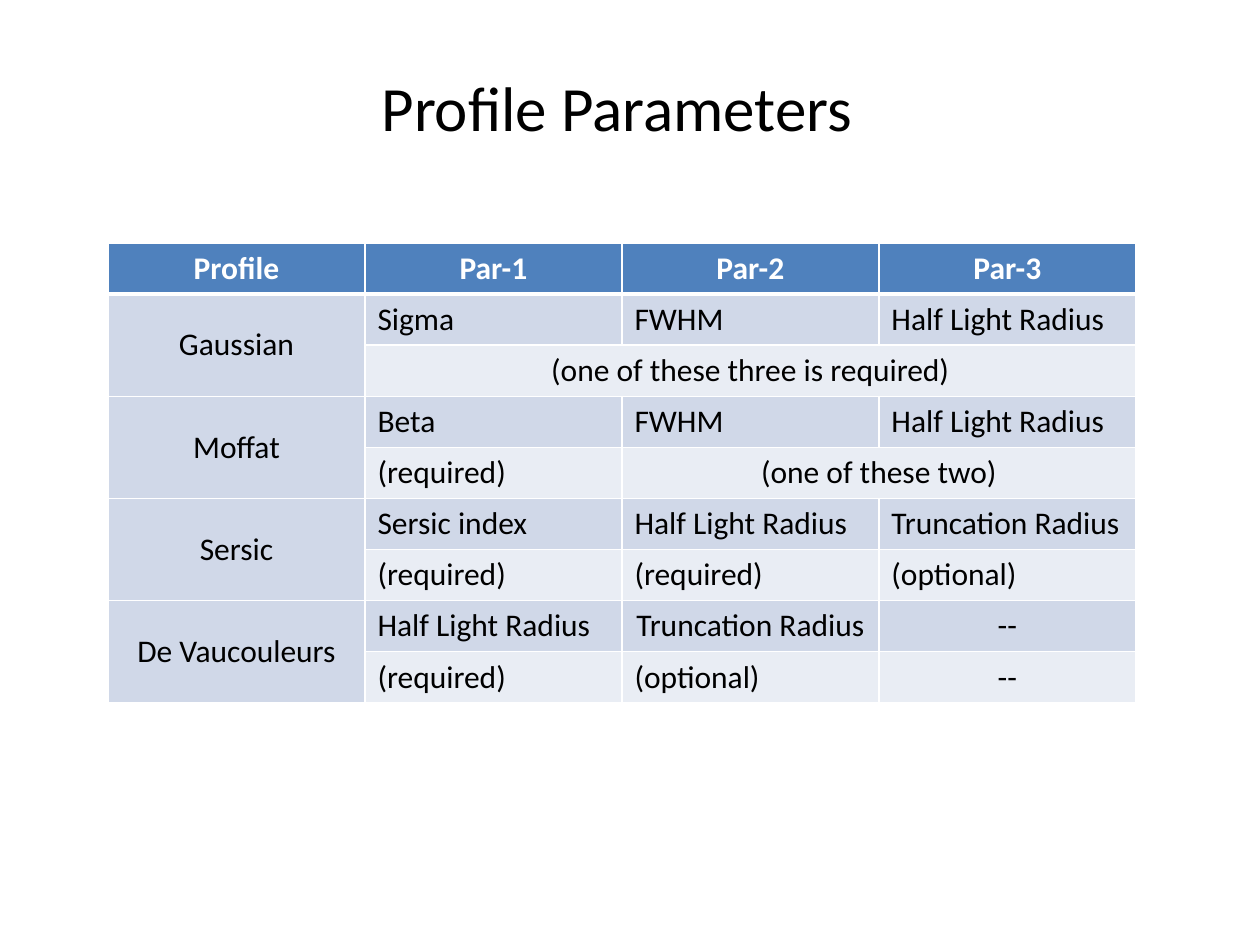
from dataclasses import dataclass

from lxml.etree import SubElement
from pptx import Presentation
from pptx.dml.color import RGBColor
from pptx.enum.text import MSO_ANCHOR as ANCHOR, MSO_AUTO_SIZE as AUTO, PP_ALIGN as ALIGN
from pptx.oxml.ns import qn
from pptx.util import Pt

EMU_PER_PX = 914400 // 126


@dataclass(frozen=True)
class Theme:
    font: str = "Calibri"
    title_size: int = 36
    cell_size: int = 18
    text: str = "000000"
    header_text: str = "FFFFFF"
    header_fill: str = "4F81BD"
    dark_band: str = "D0D8E8"
    light_band: str = "E9EDF4"
    rule: str = "FFFFFF"
    thin: int = 1
    thick: int = 3


THEME = Theme()

HEADER = ["Profile", "Par-1", "Par-2", "Par-3"]
# Each profile: name, parameter row, note row (None continues the cell to its left)
PROFILES = [
    ("Gaussian", ["Sigma", "FWHM", "Half Light Radius"],
     ["(one of these three is required)", None, None]),
    ("Moffat", ["Beta", "FWHM", "Half Light Radius"],
     ["(required)", "(one of these two)", None]),
    ("Sersic", ["Sersic index", "Half Light Radius", "Truncation Radius"],
     ["(required)", "(required)", "(optional)"]),
    ("De Vaucouleurs", ["Half Light Radius", "Truncation Radius", "--"],
     ["(required)", "(optional)", "--"]),
]
CENTERED = {(7, 2), (7, 3), (8, 3)}


def px(n):
    return n * EMU_PER_PX


def write(tf, text, size, color, align, bold=False):
    p = tf.paragraphs[0]
    p.alignment = align
    r = p.add_run()
    r.text = text
    r.font.name = THEME.font
    r.font.size = Pt(size)
    r.font.bold = bold
    r.font.color.rgb = RGBColor.from_string(color)


def add_title(slide, text, x, y, w, h):
    sp = slide.shapes.title
    sp.left, sp.top, sp.width, sp.height = map(px, (x, y, w, h))
    tf = sp.text_frame
    tf.word_wrap = False
    tf.auto_size = AUTO.SHAPE_TO_FIT_TEXT
    tf.vertical_anchor = ANCHOR.TOP
    write(tf, text, THEME.title_size, THEME.text, ALIGN.LEFT)


def style_cell(cell, fill, top, bottom):
    # Borders come before the fill in the cell properties
    tcPr = cell._tc.get_or_add_tcPr()
    widths = {"a:lnL": THEME.thin, "a:lnR": THEME.thin, "a:lnT": top, "a:lnB": bottom}
    for tag, width in widths.items():
        ln = SubElement(tcPr, qn(tag), w=str(Pt(width)))
        solid = SubElement(ln, qn("a:solidFill"))
        SubElement(solid, qn("a:srgbClr"), val=THEME.rule)
    cell.fill.solid()
    cell.fill.fore_color.rgb = RGBColor.from_string(fill)


def add_profile_table(slide, x, y, w, h):
    rows = [HEADER]
    for name, params, notes in PROFILES:
        rows += [[name, *params], [None, *notes]]
    n_rows, n_cols = len(rows), len(HEADER)
    table = slide.shapes.add_table(n_rows, n_cols, *map(px, (x, y, w, h))).table

    # Fills, borders and text
    for i, row in enumerate(rows):
        header = i == 0
        for j, text in enumerate(row):
            cell = table.cell(i, j)
            dark = j == 0 or i % 2 == 1
            fill = THEME.header_fill if header else THEME.dark_band if dark else THEME.light_band
            style_cell(cell, fill, THEME.thick if i == 1 else THEME.thin,
                       THEME.thick if header else THEME.thin)
            if text is None:
                continue
            spans = j + 1 < n_cols and row[j + 1] is None
            centered = header or j == 0 or spans or (i, j) in CENTERED
            write(cell.text_frame, text, THEME.cell_size,
                  THEME.header_text if header else THEME.text,
                  ALIGN.CENTER if centered else ALIGN.LEFT, header)

    # Profile names span two rows, shared notes span several columns
    for i in range(1, n_rows, 2):
        name_cell = table.cell(i, 0)
        name_cell.merge(table.cell(i + 1, 0))
        name_cell.vertical_anchor = ANCHOR.MIDDLE
        notes = rows[i + 1]
        if None in notes[1:]:
            first = notes.index(None, 1) - 1
            table.cell(i + 1, first).merge(table.cell(i + 1, n_cols - 1))


prs = Presentation()
prs.slide_width, prs.slide_height = px(1260), px(945)
slide = prs.slides.add_slide(prs.slide_layouts[5])
add_title(slide, "Profile Parameters", 369, 62, 507, 89)
add_profile_table(slide, 108, 243, 1028, 460)
prs.save("out.pptx")
